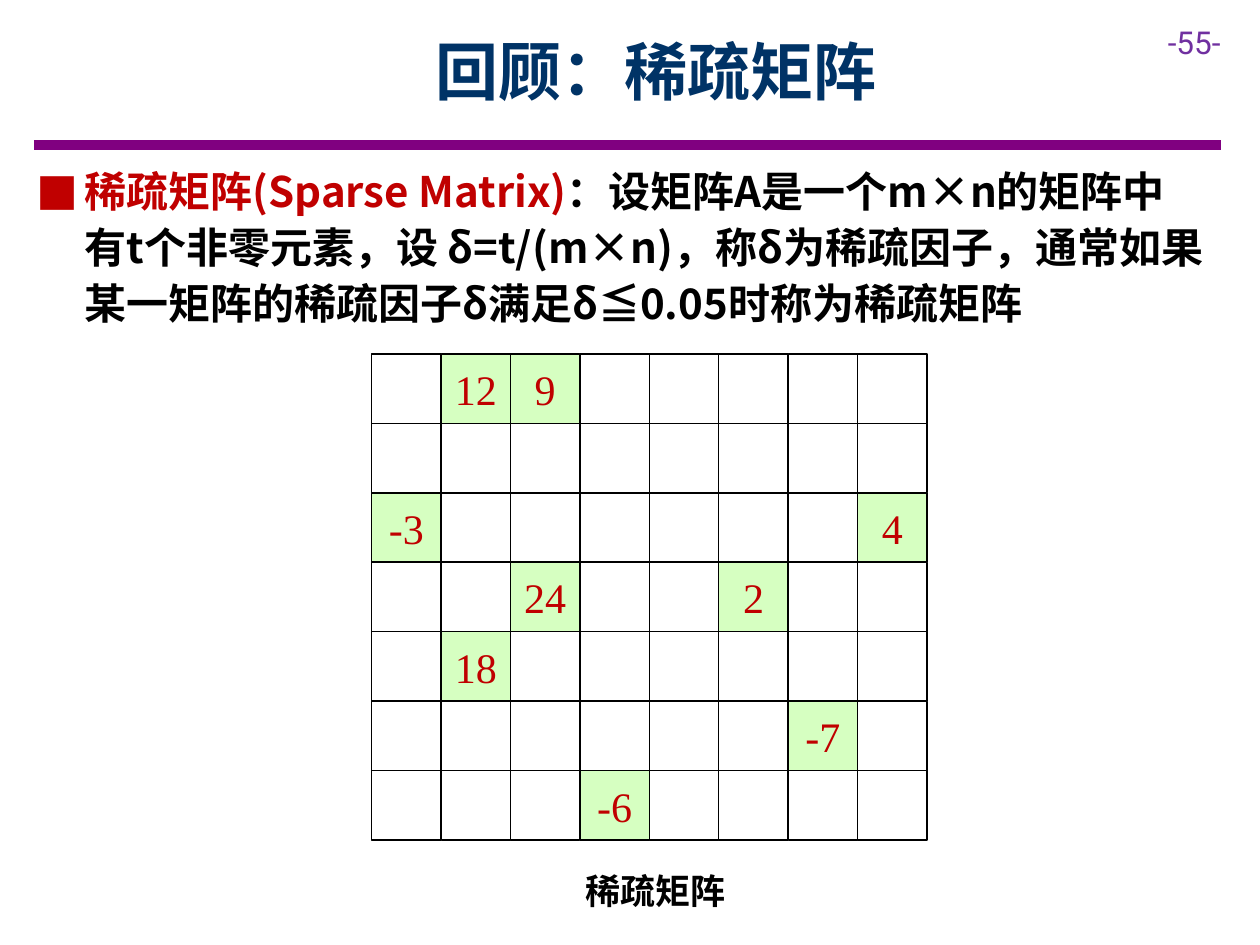
from lxml.etree import SubElement
from pptx import Presentation
from pptx.dml.color import RGBColor
from pptx.enum.shapes import MSO_CONNECTOR as Link, MSO_SHAPE as Shape
from pptx.enum.text import MSO_ANCHOR as Anchor, MSO_AUTO_SIZE as Fit, PP_ALIGN as Align
from pptx.oxml.ns import qn
from pptx.util import Inches, Pt

BLACK = RGBColor(0x00, 0x00, 0x00)
RED = RGBColor(0xC0, 0x00, 0x00)
NAVY = RGBColor(0x00, 0x33, 0x66)
PURPLE = RGBColor(0x80, 0x00, 0x80)
VIOLET = RGBColor(0x70, 0x30, 0xA0)
GREEN = RGBColor(0x99, 0xFF, 0x66)

SANS = "Noto Sans CJK SC"
SERIF = "Times New Roman"

ROWS, COLS = 7, 8
LEFT, TOP, SIDE = 2.95, 2.81, 0.55
STEP = 0.551  # cell pitch
VALUES = {
    (0, 1): "12", (0, 2): "9",
    (2, 0): "-3", (2, 7): "4",
    (3, 2): "24", (3, 5): "2",
    (4, 1): "18",
    (5, 6): "-7",
    (6, 3): "-6",
}


def add_run(para, text, size, font, color, bold=False):
    run = para.add_run()
    run.text = text
    run.font.size = Pt(size)
    run.font.name = font
    run.font.bold = bold
    run.font.color.rgb = color
    SubElement(run.font._element, qn("a:ea"), typeface=font)


def place(shape, left, top, width, height):
    shape.left, shape.top = Inches(left), Inches(top)
    shape.width, shape.height = Inches(width), Inches(height)


def set_frame(shape, anchor, side, edge):
    """Fix the text frame's anchor and its side and top/bottom insets."""
    frame = shape.text_frame
    frame.word_wrap = True
    frame.auto_size = Fit.NONE
    frame.vertical_anchor = anchor
    frame.margin_left = frame.margin_right = Inches(side)
    frame.margin_top = frame.margin_bottom = Inches(edge)
    return frame.paragraphs[0]


def add_rule(slide):
    y = Inches(1.15)
    rule = slide.shapes.add_connector(Link.STRAIGHT, Inches(0.27), y, Inches(9.69), y)
    rule.line.color.rgb = PURPLE
    rule.line.width = Pt(6)
    SubElement(rule._element.spPr, qn("a:effectLst"))


def add_label(slide, box, wrap=True):
    label = slide.shapes.add_textbox(*map(Inches, box))
    label.text_frame.word_wrap = wrap
    return label.text_frame.paragraphs[0]


def fill_title(title):
    place(title, 1.14, 0.22, 8.14, 0.68)
    para = set_frame(title, Anchor.MIDDLE, 0.09, 0.04)
    para.alignment = Align.CENTER
    add_run(para, "回顾：稀疏矩阵", 36, SANS, NAVY, True)


def add_bullet(para, mark, color, indent):
    props = para._p.get_or_add_pPr()
    props.set("marL", str(Inches(indent)))
    props.set("indent", str(-Inches(indent)))
    tint = SubElement(props, qn("a:buClr"))
    SubElement(tint, qn("a:srgbClr"), val=str(color))
    SubElement(props, qn("a:buFont"), typeface=SANS)
    SubElement(props, qn("a:buChar"), char=mark)


def fill_body(body):
    place(body, 0.2, 1.23, 9.45, 1.44)
    para = set_frame(body, Anchor.TOP, 0.09, 0.04)
    add_bullet(para, "■", RED, 0.38)
    para.line_spacing = Pt(32)
    para.space_before = Pt(0)
    add_run(para, "稀疏矩阵(Sparse Matrix)", 24, SANS, RED, True)
    add_run(para, "：设矩阵A是一个m×n的矩阵中有t个非零元素，设 δ=t/(m×n)，"
            "称δ为稀疏因子，通常如果某一矩阵的稀疏因子δ满足δ≦0.05时称为稀疏矩阵",
            24, SANS, BLACK, True)


def add_cell(slide, row, col, value):
    """Draw one matrix cell; only non-zero cells get a tint and a number."""
    cell = slide.shapes.add_shape(
        Shape.RECTANGLE, Inches(LEFT + col * STEP), Inches(TOP + row * STEP),
        Inches(SIDE), Inches(SIDE))
    cell.shadow.inherit = False
    cell.line.color.rgb = BLACK
    cell.line.width = Pt(0.75)
    if value is None:
        cell.fill.background()
        return
    cell.fill.solid()
    cell.fill.fore_color.rgb = GREEN
    tint = cell._element.spPr.find(qn("a:solidFill"))[0]
    SubElement(tint, qn("a:alpha"), val="40000")
    para = set_frame(cell, Anchor.MIDDLE, 0, 0)
    para.alignment = Align.CENTER
    add_run(para, value, 24, SERIF, RED)


def add_matrix(slide):
    for row in range(ROWS):
        for col in range(COLS):
            add_cell(slide, row, col, VALUES.get((row, col)))


def main():
    deck = Presentation()
    deck.slide_width, deck.slide_height = Inches(10), Inches(7.5)
    slide = deck.slides.add_slide(deck.slide_layouts[1])
    add_rule(slide)
    number = add_label(slide, (9.17, 0.13, 0.83, 0.4))
    add_run(number, "-55-", 18, "Roboto", VIOLET)
    fill_title(slide.shapes.title)
    fill_body(slide.placeholders[1])
    add_matrix(slide)
    caption = add_label(slide, (4.55, 6.74, 1.32, 0.5), wrap=False)
    caption.line_spacing = Pt(32)
    add_run(caption, "稀疏矩阵", 20, SANS, BLACK, True)
    deck.save("out.pptx")


if __name__ == "__main__":
    main()
